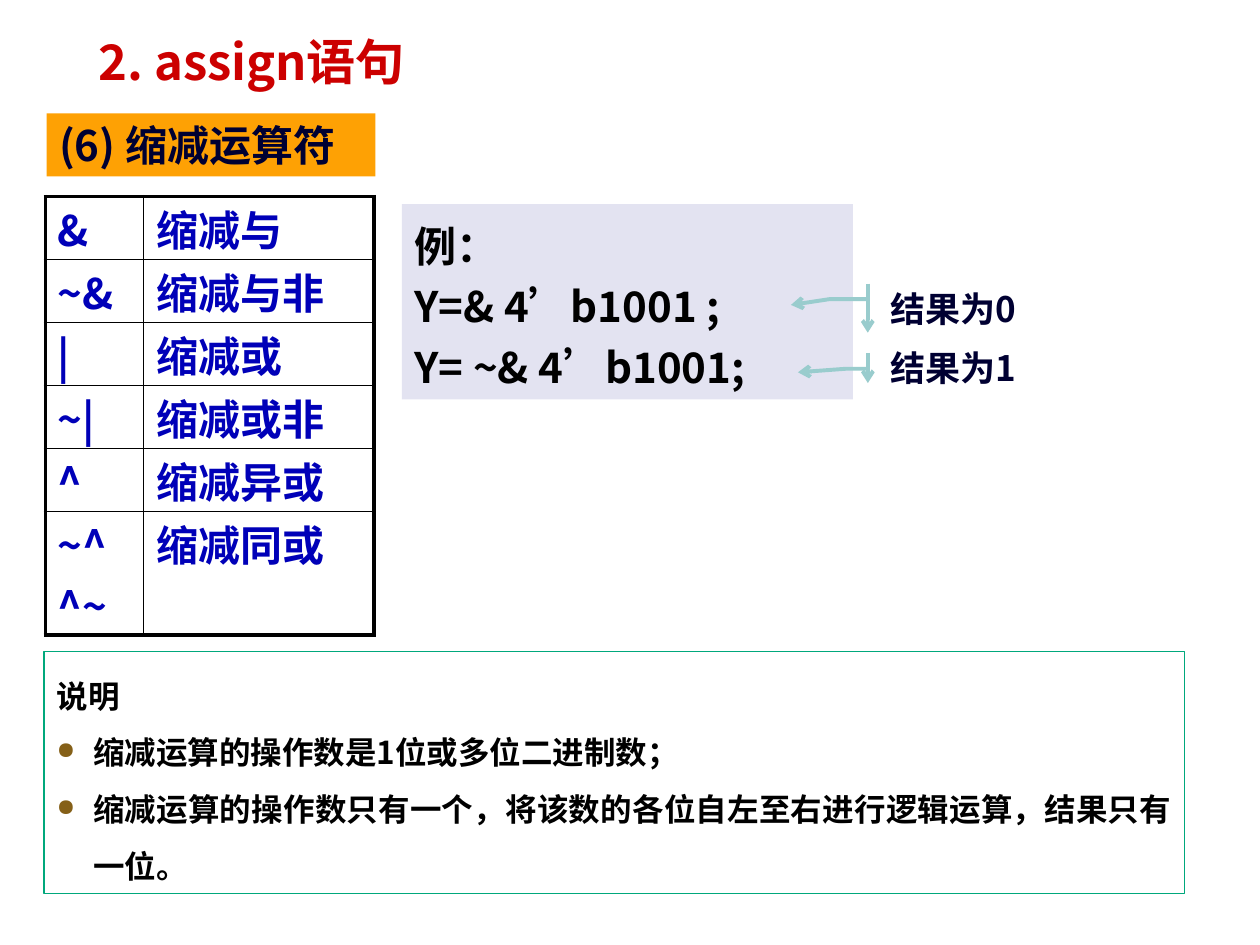
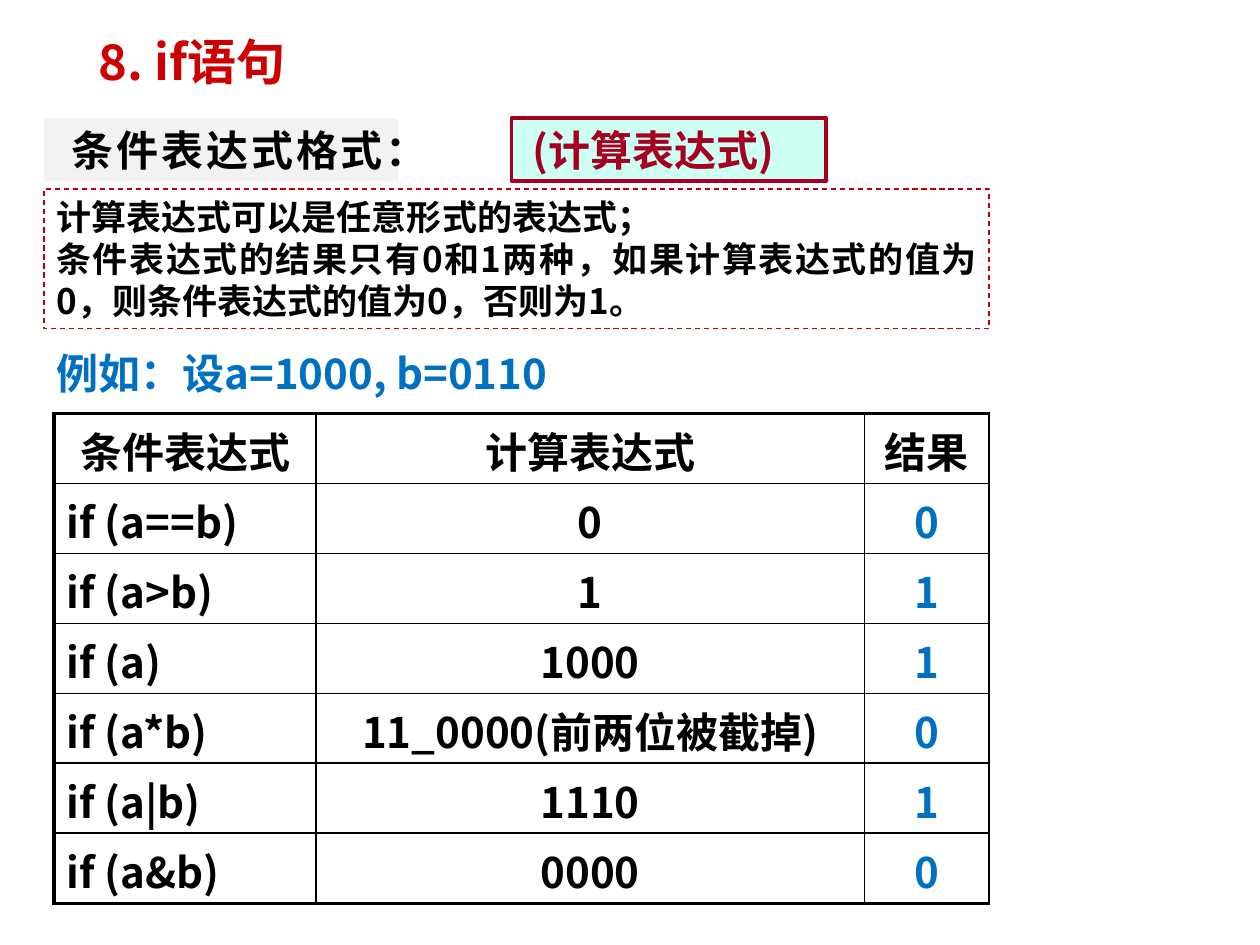
import pptx
import pptx.util
import pptx.dml.color
import pptx.enum.dml
import pptx.enum.shapes
import pptx.enum.text
import pptx.oxml
import pptx.oxml.ns

Inches = pptx.util.Inches
Pt = pptx.util.Pt
ALIGN = pptx.enum.text.PP_ALIGN
ANCHOR = pptx.enum.text.MSO_ANCHOR
SHAPE = pptx.enum.shapes.MSO_SHAPE
qn = pptx.oxml.ns.qn

FONT = "Noto Sans CJK SC"
BLACK, NAVY, RED, BLUE = "000000", "000032", "CC0000", "0070C0"
THIN, THICK = 1, 2.25


def rgb(code):
    return pptx.dml.color.RGBColor.from_string(code)


def node(parent, tag, **attrs):
    """Append an XML child such as 'a:ea' and return it."""
    child = parent.makeelement(qn(tag), attrs)
    parent.append(child)
    return child


def write(frame, lines, size, color, align=ALIGN.LEFT, spacing=None):
    """Fill a text frame with one paragraph per line and return them."""
    for i, line in enumerate(lines):
        para = frame.paragraphs[0] if i == 0 else frame.add_paragraph()
        para.alignment = align
        if spacing:
            para.line_spacing = spacing
        run = para.add_run()
        run.text = line
        run.font.size = Pt(size)
        run.font.bold = True
        run.font.name = FONT
        run.font.color.rgb = rgb(color)
        node(run.font._element, "a:ea", typeface=FONT)
    return frame.paragraphs


def panel(slide, box, fill=None, line=None, width=0.75,
          kind=SHAPE.RECTANGLE, anchor=ANCHOR.TOP):
    shape = slide.shapes.add_shape(kind, *map(Inches, box))
    shape.shadow.inherit = False
    if fill:
        shape.fill.solid()
        shape.fill.fore_color.rgb = rgb(fill)
    else:
        shape.fill.background()
    if line:
        shape.line.color.rgb = rgb(line)
        shape.line.width = Pt(width)
    else:
        shape.line.fill.background()
    shape.text_frame.word_wrap = True
    shape.text_frame.vertical_anchor = anchor
    return shape


def page(deck, text):
    """Add a slide with the shared title style."""
    slide = deck.slides.add_slide(deck.slide_layouts[5])
    title = slide.shapes.title
    title.left, title.top, title.width, title.height = map(
        Inches, (0.68, 0.01, 8.52, 0.76))
    title.text_frame.vertical_anchor = ANCHOR.BOTTOM
    write(title.text_frame, [text], 28, RED)
    return slide


def edge(cell, widths):
    """Draw the left, right, top and bottom borders of a cell."""
    props = cell._tc.get_or_add_tcPr()
    for side, width in zip("LRTB", widths):
        line = node(props, f"a:ln{side}", w=str(Pt(width)))
        fill = node(line, "a:solidFill")
        node(fill, "a:srgbClr", val=BLACK)


def grid(slide, box, cols, heights, rows, style, right=THICK, pads=(0.05, 0.05)):
    """Add a ruled table; style(row, col) gives text colour and alignment."""
    frame = slide.shapes.add_table(len(rows), len(cols), *map(Inches, box))
    table = frame.table
    table.first_row = table.horz_banding = False
    for col, width in zip(table.columns, cols):
        col.width = Inches(width)
    for r, row in enumerate(rows):
        table.rows[r].height = Inches(heights[r])
        for c, text in enumerate(row):
            cell = table.cell(r, c)
            cell.margin_top, cell.margin_bottom = map(Inches, pads)
            edge(cell, (THICK if c == 0 else THIN,
                        right if c == len(cols) - 1 else THIN,
                        THICK if r == 0 else THIN,
                        THICK if r == len(rows) - 1 else THIN))
            cell.fill.background()
            color, align = style(r, c)
            write(cell.text_frame, text.split("\n"), 24, color, align)


def callout(slide, box, text, bends):
    shape = panel(slide, box, line="99CCCD", width=2.25,
                  kind=SHAPE.LINE_CALLOUT_2_ACCENT_BAR, anchor=ANCHOR.MIDDLE)
    for i, bend in enumerate(bends):
        shape.adjustments[i] = bend
    node(shape.line._get_or_add_ln(), "a:tailEnd", type="arrow")
    write(shape.text_frame, [text], 20, NAVY)


def notes(slide, box, head, points):
    shape = panel(slide, box, line="00A87C")
    paras = write(shape.text_frame, [head] + points, 18, BLACK,
                  ALIGN.JUSTIFY, 1.5)
    for i, para in enumerate(paras):
        props = para._p.get_or_add_pPr()
        props.set("marL", str(Inches(0.29)))
        props.set("indent", str(Inches(-0.29)))
        if i:
            node(node(props, "a:buClr"), "a:srgbClr", val="856018")
            node(props, "a:buSzPct", val="75000")
            node(props, "a:buChar", char="●")


def reduce(deck):
    slide = page(deck, "2. assign语句")
    head = panel(slide, (0.37, 0.9, 2.61, 0.5), "FEA104")
    write(head.text_frame, ["(6) 缩减运算符"], 24, NAVY)
    rows = [("&", "缩减与"), ("~&", "缩减与非"), ("|", "缩减或"),
            ("~|", "缩减或非"), ("^", "缩减异或"), ("~^\n^~", "缩减同或")]
    grid(slide, (0.36, 1.56, 2.61, 3.48), (0.78, 1.83), [0.5] * 5 + [0.98],
         rows, lambda r, c: ("0000B8", ALIGN.LEFT), pads=(0.01, 0))
    code = panel(slide, (3.19, 1.62, 3.58, 1.55), "E3E3F1")
    write(code.text_frame, ["例：", "Y=& 4’b1001 ;", "Y= ~& 4’b1001;"],
          24, BLACK, spacing=1.2)
    callout(slide, (6.97, 2.25, 2.13, 0.39), "结果为0",
            (0.317, -0.039, 0.317, -0.18, 0.436, -0.325))
    callout(slide, (6.97, 2.8, 2.01, 0.24), "结果为1",
            (0.529, -0.041, 0.529, -0.126, 0.647, -0.317))
    notes(slide, (0.35, 5.17, 9.05, 1.92), "说明", [
        "缩减运算的操作数是1位或多位二进制数；",
        "缩减运算的操作数只有一个，将该数的各位自左至右进行逻辑运算，结果只有一位。"])


def tint(row, col):
    color = BLUE if row and col == 2 else BLACK
    return color, ALIGN.LEFT if row and col == 0 else ALIGN.CENTER


def branch(deck):
    slide = page(deck, "8. if语句")
    rule = panel(slide, (0.35, 1.5, 7.5, 1.11), "FFFFFF", "C00000")
    rule.line.dash_style = pptx.enum.dml.MSO_LINE.DASH
    write(rule.text_frame, [
        "计算表达式可以是任意形式的表达式；",
        "条件表达式的结果只有0和1两种，如果计算表达式的值为0，"
        "则条件表达式的值为0，否则为1。"], 20, BLACK, ALIGN.JUSTIFY)
    case = slide.shapes.add_textbox(*map(Inches, (0.35, 2.71, 4.29, 0.5)))
    write(case.text_frame, ["例如：设a=1000, b=0110"], 24, BLUE)
    rows = [("条件表达式", "计算表达式", "结果"),
            ("if (a==b)", "0", "0"),
            ("if (a>b)", "1", "1"),
            ("if (a)", "1000", "1"),
            ("if (a*b)", "11_0000(前两位被截掉)", "0"),
            ("if (a|b)", "1110", "1"),
            ("if (a&b)", "0000", "0")]
    grid(slide, (0.43, 3.28, 7.42, 3.89), (2.08, 4.35, 0.99),
         [3.89 / len(rows)] * len(rows), rows, tint, THIN)
    form = panel(slide, (4.06, 0.94, 2.5, 0.5), "CDFFF2", "A50021", 2.25)
    form.text_frame.margin_left = Inches(0.17)
    write(form.text_frame, ["(计算表达式)"], 24, "A50021")
    label = panel(slide, (0.35, 0.94, 2.81, 0.5), "F2F2F2")
    label.text_frame.margin_left = Inches(0.22)
    write(label.text_frame, ["条件表达式格式："], 24, BLACK, ALIGN.JUSTIFY)


def main():
    deck = pptx.Presentation()
    deck.slide_width, deck.slide_height = Inches(10), Inches(7.5)
    reduce(deck)
    branch(deck)
    deck.save("out.pptx")


if __name__ == "__main__":
    main()
